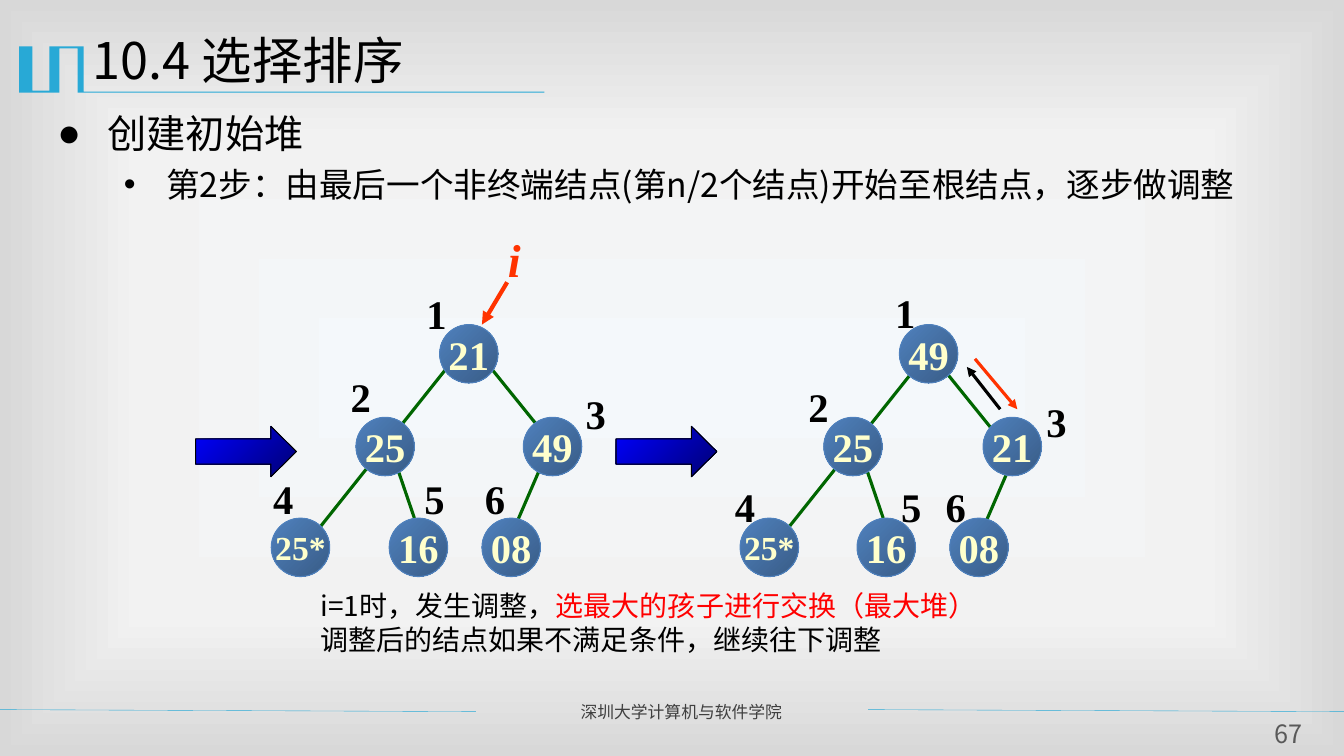
from lxml import etree
from pptx import Presentation
from pptx.dml.color import RGBColor
from pptx.enum import shapes, text
from pptx.oxml import parse_xml
from pptx.oxml.ns import nsdecls, qn
from pptx.util import Inches, Pt

SANS, SERIF = "Noto Sans CJK SC", "Times New Roman"
BLACK = RGBColor(0, 0, 0)
RED = RGBColor(0xFF, 0, 0)
ORANGE = RGBColor(0xFF, 0x33, 0)
CYAN = RGBColor(0x28, 0xA9, 0xD6)
EDGE_GREEN = RGBColor(0, 0x66, 0)
CREAM = RGBColor(0xFF, 0xFF, 0xCC)
DARK_GREY = RGBColor(0x3F, 0x3F, 0x3F)
GREY = RGBColor(0x59, 0x59, 0x59)
STEEL, STEEL_DARK = RGBColor(0x4F, 0x81, 0xBD), RGBColor(0x39, 0x5C, 0x87)
BLUE, NAVY = RGBColor(0, 0, 0xFF), RGBColor(0, 0, 0x76)
BACKDROP = ((0, "F4F8FB"), (63, "F2F2F2"), (100, "D8D8D8"))

NODE = 0.58
LEVELS = (0, 0.92, 1.92, 1.92, 0.92, 1.92)
# Node text and left offset, in the order of LEVELS
LEFT_NODES = (("21", 1.67), ("25", 0.84), ("25*", 0), ("16", 1.17), ("49", 2.5), ("08", 2.09))
RIGHT_NODES = (("49", 1.58), ("25", 0.83), ("25*", 0), ("16", 1.16), ("21", 2.41), ("08", 2.08))
# Offsets of the numbers 1 to 6
LEFT_NUMBERS = ((1.44, -0.4), (0.69, 0.42), (3.02, 0.59), (-0.08, 1.43), (1.42, 1.43), (2.02, 1.43))
RIGHT_NUMBERS = ((1.44, -0.41), (0.58, 0.52), (2.94, 0.67), (-0.15, 1.51), (1.5, 1.51), (1.94, 1.51))


def set_font(font, size, color, name=SANS, bold=False, italic=False):
    font.size, font.name, font.bold, font.italic = Pt(size), name, bold, italic
    font.color.rgb = color
    latin = font._element.find(qn("a:latin"))
    east_asian = etree.Element(qn("a:ea"), typeface=name)
    latin.addnext(east_asian)


def add_text(page, left, top, width, height, lines, wrap=True):
    box = page.shapes.add_textbox(Inches(left), Inches(top), Inches(width), Inches(height))
    frame = box.text_frame
    frame.word_wrap = wrap
    frame.text = "\n".join(lines)
    return frame


def set_indent(para, margin, hanging, bullet=None):
    properties = para._p.get_or_add_pPr()
    properties.set("marL", str(Inches(margin)))
    properties.set("indent", str(-Inches(hanging)))
    if bullet:
        etree.SubElement(properties, qn("a:buFont"), typeface="Arial")
        etree.SubElement(properties, qn("a:buChar"), char=bullet)


def add_line(page, start, end, color, width, arrow=False):
    line = page.shapes.add_connector(
        shapes.MSO_CONNECTOR.STRAIGHT, *(Inches(value) for value in (*start, *end)))
    line.line.color.rgb, line.line.width = color, Pt(width)
    if arrow:
        etree.SubElement(line.line._get_or_add_ln(), qn("a:tailEnd"), type="triangle")
    etree.SubElement(line._element.spPr, qn("a:effectLst"))


def add_gradient_shape(page, kind, box, first, last, outline):
    shape = page.shapes.add_shape(kind, *(Inches(value) for value in box))
    shape.shadow.inherit = False
    shape.fill.gradient()
    shape.fill.gradient_angle = 315
    for stop, color in zip(shape.fill.gradient_stops, (first, last)):
        stop.color.rgb = color
    shape.line.color.rgb, shape.line.width = outline, Pt(0.75)
    return shape


def add_backdrop(page):
    stops = "".join(f'<a:gs pos="{place * 1000}"><a:srgbClr val="{color}"/></a:gs>'
                    for place, color in BACKDROP)
    page._element.cSld.insert(0, parse_xml(
        f'<p:bg {nsdecls("p", "a")}><p:bgPr><a:gradFill rotWithShape="1"><a:gsLst>{stops}</a:gsLst>'
        '<a:path path="rect"><a:fillToRect l="50000" t="50000" r="50000" b="50000"/></a:path>'
        '</a:gradFill><a:effectLst/></p:bgPr></p:bg>'))


def add_header(page, left, top):
    """Title with the stepped ribbon that runs into its underline."""
    outline = [(0.64, 0), (0.64, 0.45), (5.21, 0.45), (5.21, 0.46), (0.58, 0.46), (0.58, 0.02),
               (0.4, 0.02), (0.4, 0.46), (0, 0.46), (0, 0), (0.13, 0), (0.13, 0.44),
               (0.3, 0.44), (0.3, 0)]
    points = [(Inches(left + x), Inches(top + y)) for x, y in outline]
    builder = page.shapes.build_freeform(*points[0])
    builder.add_line_segments(points[1:], close=True)
    ribbon = builder.convert_to_shape()
    ribbon.shadow.inherit = False
    ribbon.fill.solid()
    ribbon.fill.fore_color.rgb = CYAN
    ribbon.line.fill.background()
    title = add_text(page, left + 0.63, top - 0.22, 12, 0.87, ["10.4 选择排序"])
    set_font(title.paragraphs[0].font, 36, BLACK)


def add_body(page, left, top):
    frame = add_text(page, left, top, 12.13, 1.37, [
        "创建初始堆", "第2步：由最后一个非终端结点(第n/2个结点)开始至根结点，逐步做调整"])
    heading, step = frame.paragraphs
    step.space_before = Pt(4.8)
    set_indent(heading, 0.5, 0.5, "●")
    set_indent(step, 1.08, 0.42, "•")
    set_font(heading.font, 28, BLACK)
    set_font(step.font, 24, BLACK)


def add_tree(page, left, top, nodes, numbers, right_edge):
    """Heap of six nodes; right_edge is where the edge to node 3 leaves the root."""
    edges = (((2.67, 1.42), (2.42, 2)), ((1.25, 1.42), (1.42, 1.92)),
             ((right_edge, 0.42), (right_edge + 0.67, 1.25)), ((1.75, 0.42), (0.42, 2.09)))
    for start, end in edges:
        add_line(page, (left + start[0], top + start[1]), (left + end[0], top + end[1]),
                 EDGE_GREEN, 2.25)
    for (value, x), y in zip(nodes, LEVELS):
        node = add_gradient_shape(page, shapes.MSO_SHAPE.OVAL, (left + x, top + y, NODE, NODE),
                                  STEEL, STEEL_DARK, STEEL)
        frame = node.text_frame
        frame.word_wrap, frame.text = False, value
        frame.vertical_anchor = text.MSO_ANCHOR.MIDDLE
        para = frame.paragraphs[0]
        para.alignment = text.PP_ALIGN.CENTER
        set_font(para.font, 24 if len(value) > 2 else 29, CREAM, SERIF, bold=True)
    for number, (x, y) in enumerate(numbers, 1):
        label = add_text(page, left + x, top + y, 0.4, 0.59, [str(number)], wrap=False)
        set_font(label.paragraphs[0].font, 29, BLACK, SERIF, bold=True)


def add_step_arrow(page, left, top):
    arrow = add_gradient_shape(page, shapes.MSO_SHAPE.RIGHT_ARROW, (left, top, 1, 0.5),
                               BLUE, NAVY, BLACK)
    arrow.adjustments[1] = 0.505


def add_root_pointer(page, left, top):
    add_line(page, (left + 0.09, top + 0.55), (left - 0.16, top + 0.97), ORANGE, 3, arrow=True)
    label = add_text(page, left, top, 0.33, 0.65, ["i"], wrap=False)
    set_font(label.paragraphs[0].font, 33, ORANGE, SERIF, bold=True, italic=True)


def add_swap_arrows(page, left, top):
    add_line(page, (left + 0.33, top + 0.5), (left, top + 0.08), BLACK, 2.25, arrow=True)
    add_line(page, (left + 0.08, top), (left + 0.5, top + 0.5), ORANGE, 2.25, arrow=True)


def add_caption(page, left, top):
    frame = add_text(page, left, top, 8.01, 0.77,
                     ["i=1时，发生调整，", "调整后的结点如果不满足条件，继续往下调整"])
    for para in frame.paragraphs:
        set_indent(para, 1.06, 0.56)
        set_font(para.font, 20, BLACK)
    span = frame.paragraphs[0].add_run()
    span.text = "选最大的孩子进行交换（最大堆）"
    span.font.color.rgb = RED


def add_footer(page, top):
    for left in (0, 8.61):
        add_line(page, (left, top), (left + 4.72, top + 0.02), CYAN, 0.25)
    school = add_text(page, 5.66, top - 0.13, 2.85, 0.3, ["深圳大学计算机与软件学院"])
    set_font(school.paragraphs[0].font, 12, DARK_GREY)
    number = add_text(page, 12.48, top + 0.09, 0.59, 0.31, ["67"])
    number.margin_left = number.margin_right = number.margin_top = number.margin_bottom = 0
    number.paragraphs[0].alignment = text.PP_ALIGN.CENTER
    set_font(number.paragraphs[0].font, 18, GREY)


def main():
    deck = Presentation()
    deck.slide_width, deck.slide_height = Inches(13.33), Inches(7.5)
    page = deck.slides.add_slide(deck.slide_layouts[6])
    add_backdrop(page)
    add_header(page, 0.19, 0.46)
    add_body(page, 0.47, 1.04)
    add_tree(page, 2.69, 3.22, LEFT_NODES, LEFT_NUMBERS, 2.17)
    add_root_pointer(page, 4.94, 2.25)
    for left in (1.94, 6.11):
        add_step_arrow(page, left, 4.23)
    add_tree(page, 7.34, 3.22, RIGHT_NODES, RIGHT_NUMBERS, 2)
    add_swap_arrows(page, 9.59, 3.56)
    add_caption(page, 2.58, 5.79)
    add_footer(page, 7.04)
    deck.save("out.pptx")


if __name__ == "__main__":
    main()
